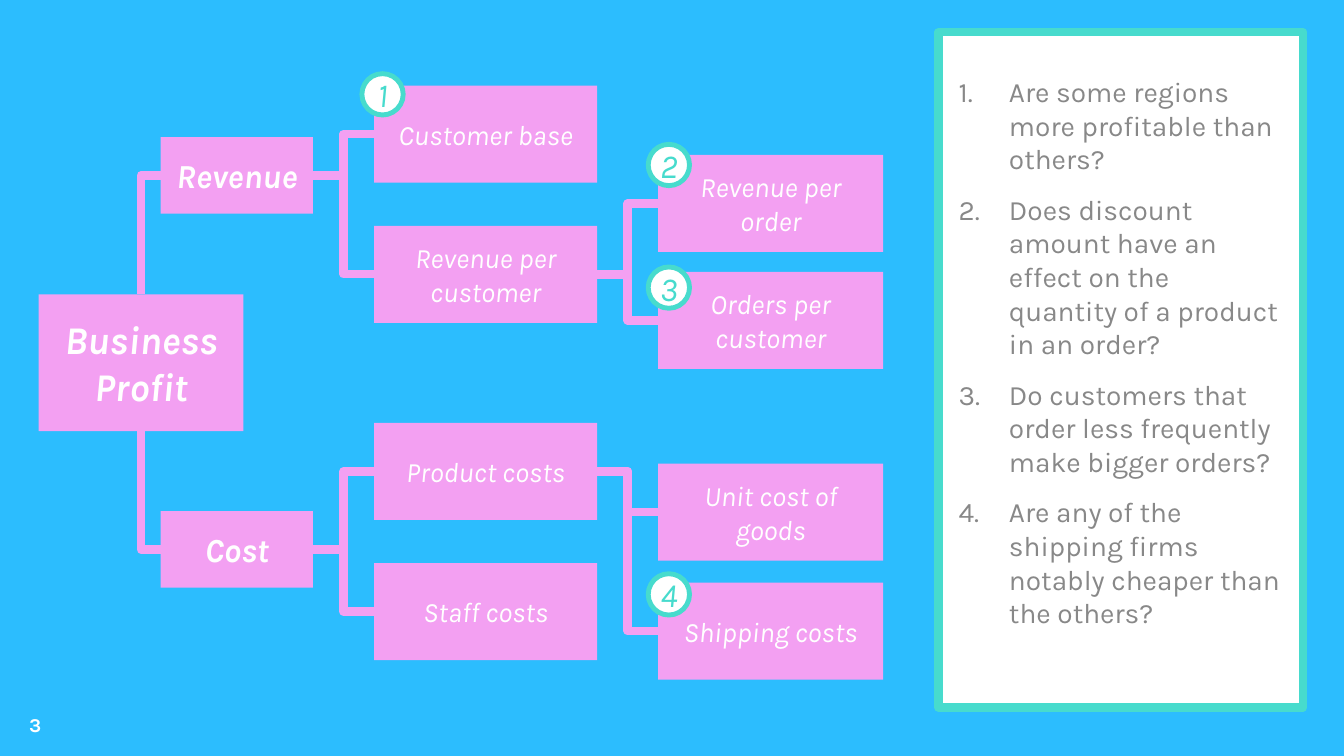
from lxml import etree
from pptx import Presentation
from pptx.dml.color import RGBColor
from pptx.enum import shapes, text
from pptx.oxml.ns import qn
from pptx.util import Pt

FONT = "Karla"
BLUE, PINK, TEAL, WHITE, GREY = "2CBDFE", "F3A0F2", "47DBCD", "FFFFFF", "888888"
TOP, LEFT, BOTTOM, RIGHT = range(4)

NODES = {
    "Business Profit": (0, 182.4, 146.2, 97.6, 28, True),
    "Revenue": (87.2, 70, 108.7, 54.7, 24, True),
    "Cost": (87.2, 337.2, 108.7, 54.7, 24, True),
    "Customer base": (239.6, 33.3, 159.4, 69.3, 20, False),
    "Revenue per customer": (239.6, 133.4, 159.4, 69.3, 20, False),
    "Product costs": (239.6, 274.2, 159.4, 69.3, 20, False),
    "Staff costs": (239.6, 374.4, 159.4, 69.3, 20, False),
    "Revenue per order": (442.6, 82.8, 160.6, 69.3, 20, False),
    "Orders per customer": (442.6, 166.3, 160.6, 69.3, 20, False),
    "Unit cost of goods": (442.6, 303.3, 160.6, 69.3, 20, False),
    "Shipping costs": (442.6, 388.2, 160.6, 69.3, 20, False),
}
BRANCHES = {
    "Revenue": ("Customer base", "Revenue per customer"),
    "Revenue per customer": ("Revenue per order", "Orders per customer"),
    "Cost": ("Product costs", "Staff costs"),
    "Product costs": ("Unit cost of goods", "Shipping costs"),
}
BADGES = [("1", 230.9, 24.7), ("2", 435.4, 75.2), ("3", 435.4, 162.8), ("4", 435.4, 381.9)]
QUESTIONS = [
    "Are some regions more profitable than others?",
    "Does discount amount have an effect on the quantity of a product in an order?",
    "Do customers that order less frequently make bigger orders?",
    "Are any of the shipping firms notably cheaper than the others?",
]


def rgb(code):
    """Turn a hex string into a colour."""
    return RGBColor.from_string(code)


def add_run(p, words, size, color, bold=False, italic=False):
    """Add one styled run to a paragraph."""
    r = p.add_run()
    r.text = words
    f = r.font
    f.name, f.size, f.bold, f.italic = FONT, Pt(size), bold, italic
    f.color.rgb = rgb(color)


def set_insets(tf, x, top, bottom):
    """Set the margins of a text frame."""
    tf.margin_left = tf.margin_right = Pt(x)
    tf.margin_top, tf.margin_bottom = Pt(top), Pt(bottom)


def add_block(s, kind, box, fill, line=None, width=0):
    """Add a flat filled shape with middle-anchored text."""
    sp = s.shapes.add_shape(kind, *map(Pt, box))
    sp.shadow.inherit = False
    sp.fill.solid()
    sp.fill.fore_color.rgb = rgb(fill)
    if line:
        sp.line.color.rgb = rgb(line)
        sp.line.width = Pt(width)
    else:
        sp.line.fill.background()
    sp.text_frame.word_wrap = True
    sp.text_frame.vertical_anchor = text.MSO_ANCHOR.MIDDLE
    return sp


def add_elbow(s, child, parent, side, preset="bentConnector3"):
    """Join the left side of a child to one side of its parent."""
    c = s.shapes.add_connector(shapes.MSO_CONNECTOR.ELBOW, 0, 0, 0, 0)
    c.begin_connect(child, LEFT)
    c.end_connect(parent, side)
    c.line.color.rgb = rgb(PINK)
    c.line.width = Pt(6)
    sp_pr = c._element.spPr
    sp_pr.find(qn("a:prstGeom")).set("prst", preset)
    etree.SubElement(sp_pr, qn("a:effectLst"))


def add_tree(s, left, top):
    """Draw the profit tree with its connectors and numbered badges."""
    nodes = {}
    for label, (x, y, w, h, size, bold) in NODES.items():
        sp = add_block(s, shapes.MSO_SHAPE.RECTANGLE, (left + x, top + y, w, h), PINK)
        p = sp.text_frame.paragraphs[0]
        p.alignment = text.PP_ALIGN.CENTER
        add_run(p, label, size, WHITE, bold, True)
        nodes[label] = sp
    for label, side in (("Revenue", TOP), ("Cost", BOTTOM)):
        add_elbow(s, nodes[label], nodes["Business Profit"], side, "bentConnector2")
    for parent, children in BRANCHES.items():
        for child in children:
            add_elbow(s, nodes[child], nodes[parent], RIGHT)
    for number, x, y in BADGES:
        box = (left + x, top + y, 29.5, 29.5)
        sp = add_block(s, shapes.MSO_SHAPE.OVAL, box, WHITE, TEAL, 3.5)
        set_insets(sp.text_frame, 0, 0, 0)
        p = sp.text_frame.paragraphs[0]
        p.alignment = text.PP_ALIGN.CENTER
        add_run(p, number, 24, TEAL, italic=True)


def add_questions(s, left, top, width, height):
    """Draw the framed panel with the numbered questions."""
    box = (left, top, width, height)
    tf = add_block(s, shapes.MSO_SHAPE.RECTANGLE, box, WHITE, TEAL, 6).text_frame
    set_insets(tf, 14.4, 3.6, 29)
    for i, question in enumerate(QUESTIONS):
        p = tf.add_paragraph() if i else tf.paragraphs[0]
        p.alignment = text.PP_ALIGN.LEFT
        p.space_before, p.space_after = Pt(6 if i else 0), Pt(6)
        p_pr = p._p.get_or_add_pPr()
        p_pr.set("marL", str(Pt(36)))
        p_pr.set("indent", str(Pt(-36)))
        etree.SubElement(p_pr, qn("a:buFont"), typeface="+mj-lt")
        etree.SubElement(p_pr, qn("a:buAutoNum"), type="arabicPeriod")
        add_run(p, question, 20, GREY)


def add_page_number(s, left, top, width, height):
    """Add the page number at the foot of the slide."""
    tf = s.shapes.add_textbox(*map(Pt, (left, top, width, height))).text_frame
    tf.word_wrap = True
    p = tf.paragraphs[0]
    p.alignment = text.PP_ALIGN.CENTER
    add_run(p, "3", 14, WHITE, True)


def main():
    """Build the slide and save it."""
    prs = Presentation()
    prs.slide_width, prs.slide_height = Pt(960), Pt(540)
    s = prs.slides.add_slide(prs.slide_layouts[6])
    s.background.fill.solid()
    s.background.fill.fore_color.rgb = rgb(BLUE)
    add_page_number(s, 5, 505.4, 40.3, 28.8)
    add_tree(s, 27.6, 27.9)
    add_questions(s, 670.3, 23, 260.6, 482.4)
    prs.save("out.pptx")


if __name__ == "__main__":
    main()
